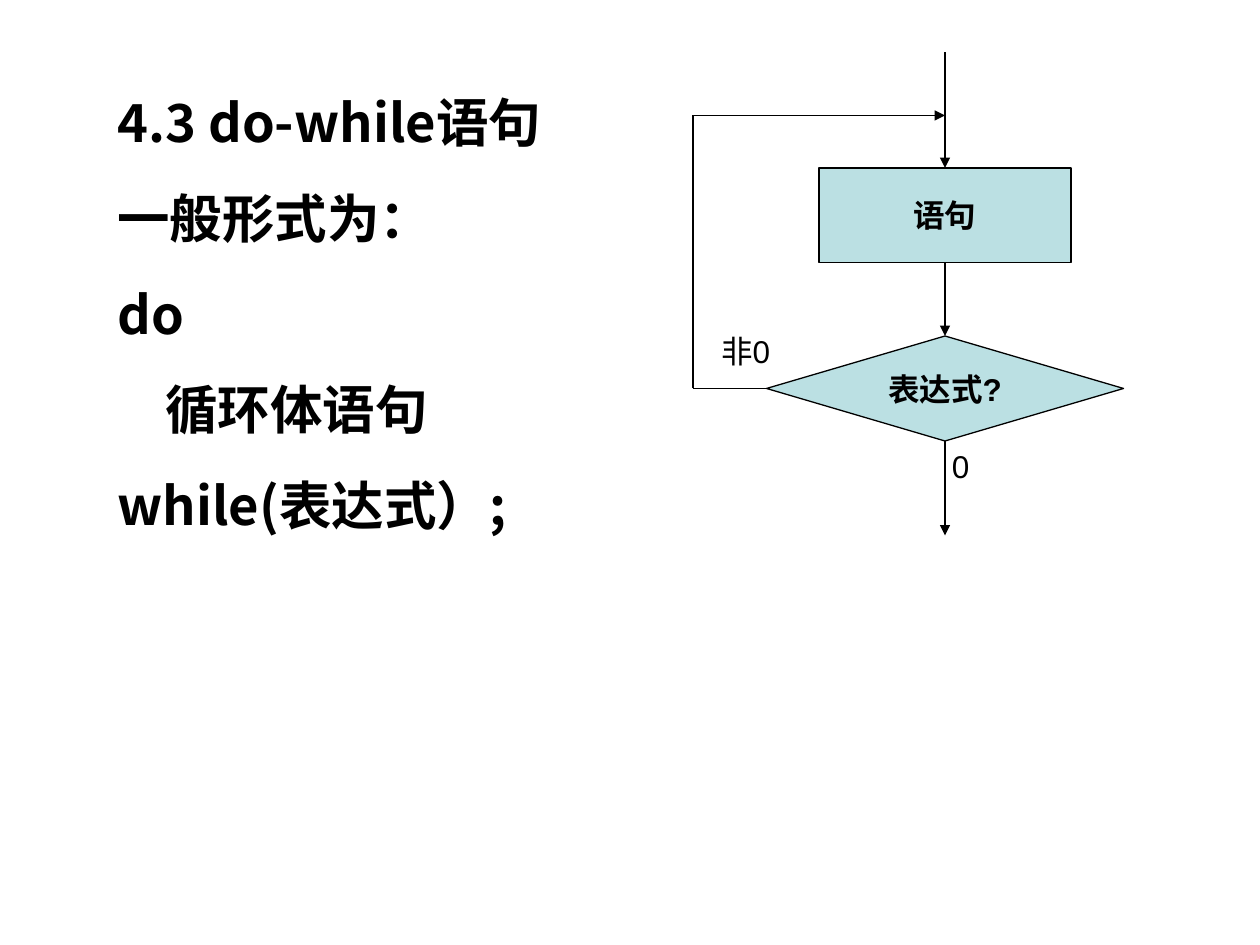
from lxml import etree
from pptx import Presentation
from pptx.dml.color import RGBColor
from pptx.enum.shapes import MSO_CONNECTOR, MSO_SHAPE
from pptx.enum.text import MSO_ANCHOR, PP_ALIGN
from pptx.oxml.ns import qn
from pptx.util import Pt

STRAIGHT = MSO_CONNECTOR.STRAIGHT
PROCESS, DECISION = MSO_SHAPE.RECTANGLE, MSO_SHAPE.FLOWCHART_DECISION
CENTER, LEFT = PP_ALIGN.CENTER, PP_ALIGN.LEFT
MIDDLE = MSO_ANCHOR.MIDDLE


def color(value):
    return RGBColor.from_string(value)


class FlowSlide:
    """Draws the syntax text and flowchart parts in one shared style."""

    ink, fill = "000000", "BBE0E3"
    chart_font, syntax_font = "Arial", "Noto Sans CJK SC"
    line_width = 0.75

    def __init__(self, slide):
        self.shapes = slide.shapes

    def style(self, paragraph, size, font, bold, align):
        paragraph.alignment = align
        paragraph.font.size = Pt(size)
        paragraph.font.name = font
        paragraph.font.bold = bold
        paragraph.font.color.rgb = color(self.ink)

    def syntax(self, left, top, width, height, lines):
        frame = self.shapes.add_textbox(Pt(left), Pt(top), Pt(width), Pt(height)).text_frame
        frame.word_wrap = True
        frame.text = "\n".join(text for text, indent in lines)
        for paragraph, (text, indent) in zip(frame.paragraphs, lines):
            self.style(paragraph, 30, self.syntax_font, True, LEFT)
            paragraph.space_before = Pt(18.7)
            paragraph._p.get_or_add_pPr().set("marL", str(Pt(indent)))
            for run in paragraph.runs:
                east_asian = etree.SubElement(run._r.get_or_add_rPr(), qn("a:ea"))
                east_asian.set("typeface", self.syntax_font)

    def label(self, left, top, width, text):
        frame = self.shapes.add_textbox(Pt(left), Pt(top), Pt(width), Pt(29)).text_frame
        frame.word_wrap = True
        frame.text = text
        self.style(frame.paragraphs[0], 18, self.chart_font, False, CENTER)

    def step(self, kind, left, top, width, height, text):
        step = self.shapes.add_shape(kind, Pt(left), Pt(top), Pt(width), Pt(height))
        step.shadow.inherit = False
        step.fill.solid()
        step.fill.fore_color.rgb = color(self.fill)
        step.line.color.rgb = color(self.ink)
        step.line.width = Pt(self.line_width)
        frame = step.text_frame
        frame.word_wrap = False
        frame.vertical_anchor = MIDDLE
        frame.text = text
        self.style(frame.paragraphs[0], 18, self.chart_font, True, CENTER)

    def flow(self, start, end, arrow=True):
        flow = self.shapes.add_connector(STRAIGHT, *map(Pt, start + end))
        flow.line.color.rgb = color(self.ink)
        flow.line.width = Pt(self.line_width)
        properties = flow._element.spPr
        if arrow:
            etree.SubElement(properties.find(qn("a:ln")), qn("a:tailEnd")).set("type", "triangle")
        etree.SubElement(properties, qn("a:effectLst"))


def main():
    presentation = Presentation()
    presentation.slide_width, presentation.slide_height = Pt(720), Pt(540)
    slide = FlowSlide(presentation.slides.add_slide(presentation.slide_layouts[6]))

    slide.syntax(60, 48, 282, 353, [
        ("4.3 do-while语句", 0),
        ("一般形式为：", 0),
        ("do", 0),
        ("循环体语句", 27.5),
        ("while(表达式）;", 0),
    ])

    axis, loop_left = 540, 396
    entry, merge, exit_end = 30, 66, 306
    body_top, body_width, body_height = 96, 144, 54
    test_top, test_width, test_height = 192, 204, 60
    body_bottom, test_bottom = body_top + body_height, test_top + test_height
    test_left, test_middle = axis - test_width / 2, test_top + test_height / 2

    slide.step(PROCESS, axis - body_width / 2, body_top, body_width, body_height, "语句")
    slide.step(DECISION, test_left, test_top, test_width, test_height, "表达式?")

    for start, end in ((entry, body_top), (body_bottom, test_top), (test_bottom, exit_end)):
        slide.flow((axis, start), (axis, end))
    slide.flow((test_left, test_middle), (loop_left, test_middle), arrow=False)
    slide.flow((loop_left, test_middle), (loop_left, merge), arrow=False)
    slide.flow((loop_left, merge), (axis, merge))

    slide.label(534, test_bottom, 30, "0")
    slide.label(402, 186, 48, "非0")

    presentation.save("out.pptx")


if __name__ == "__main__":
    main()
